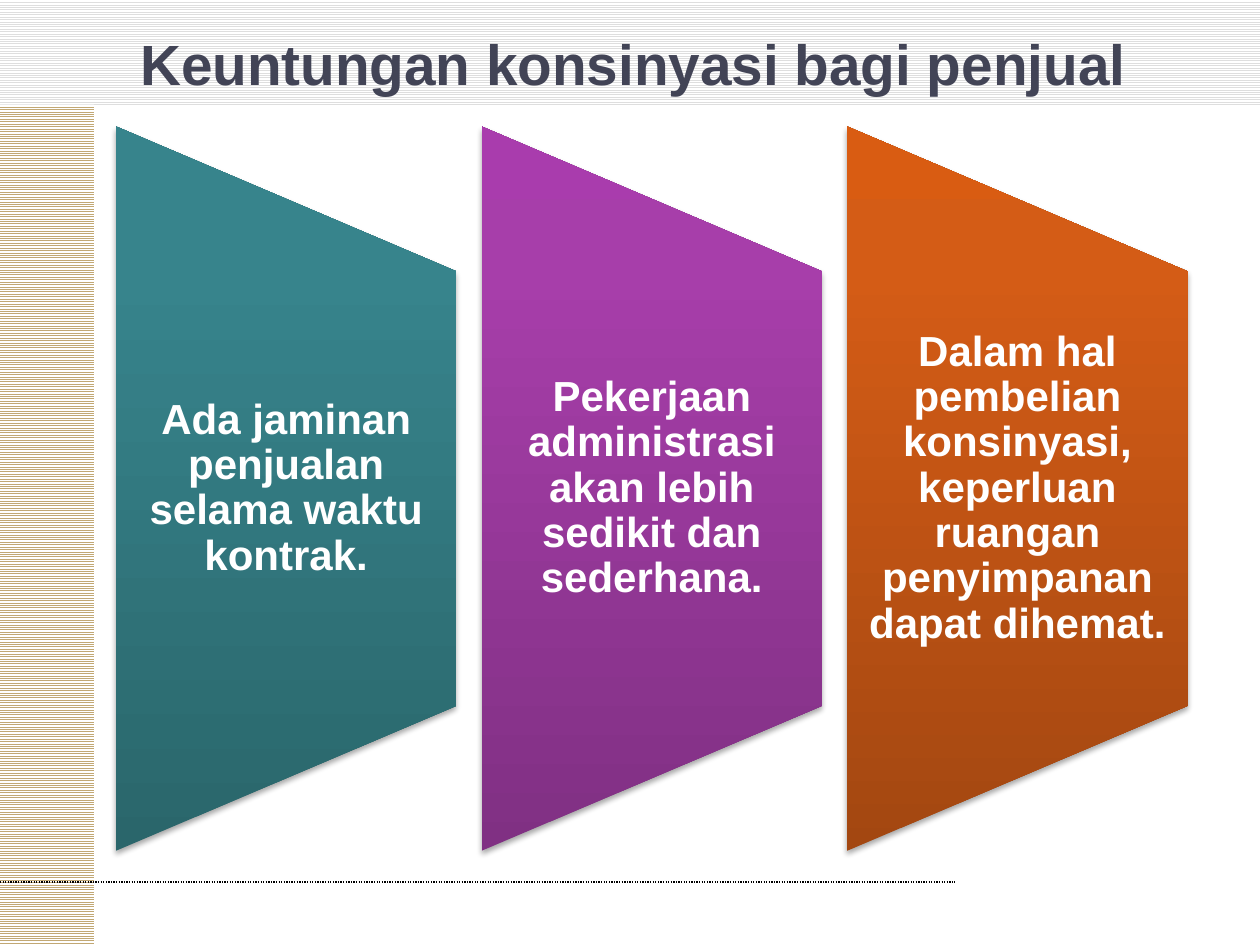
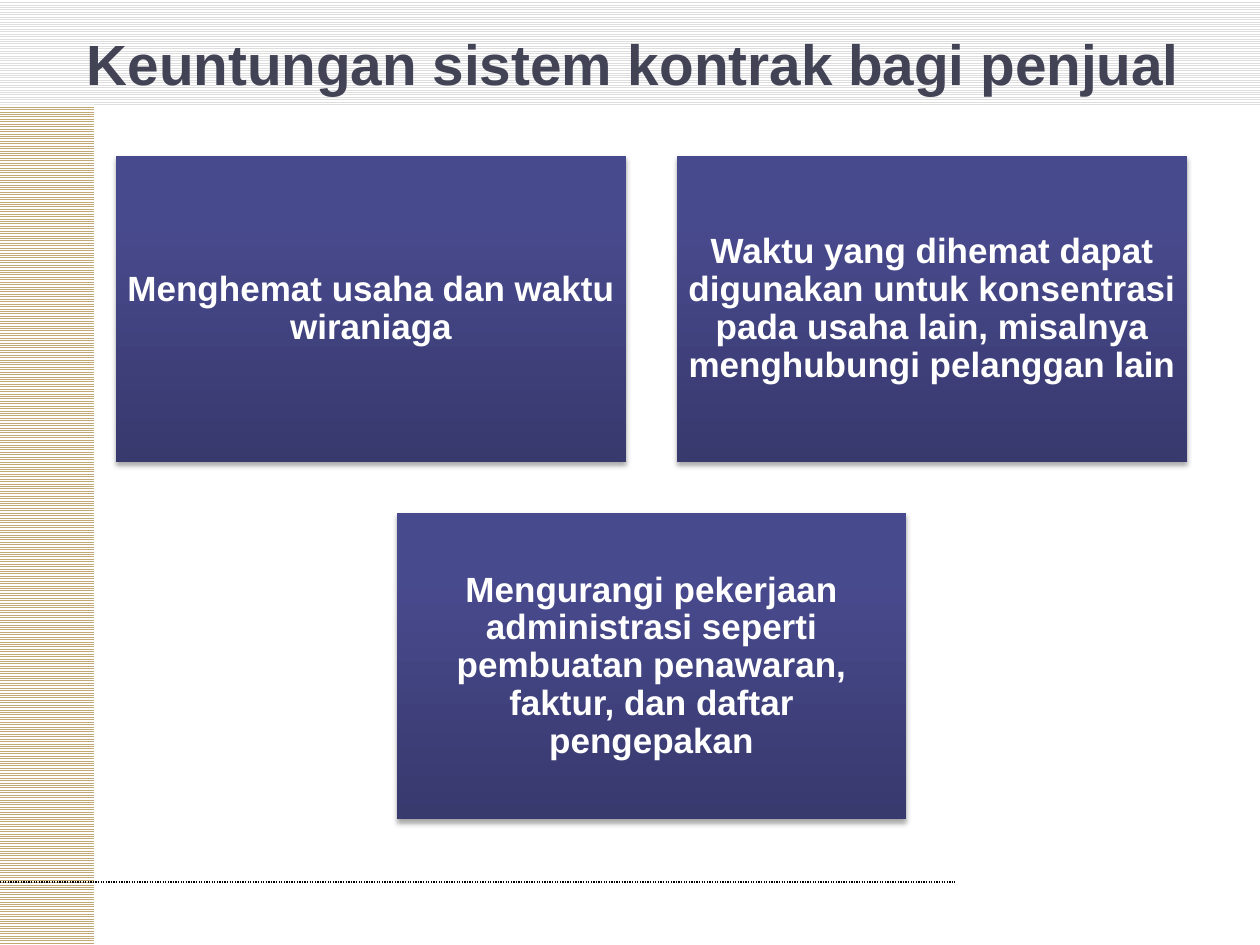
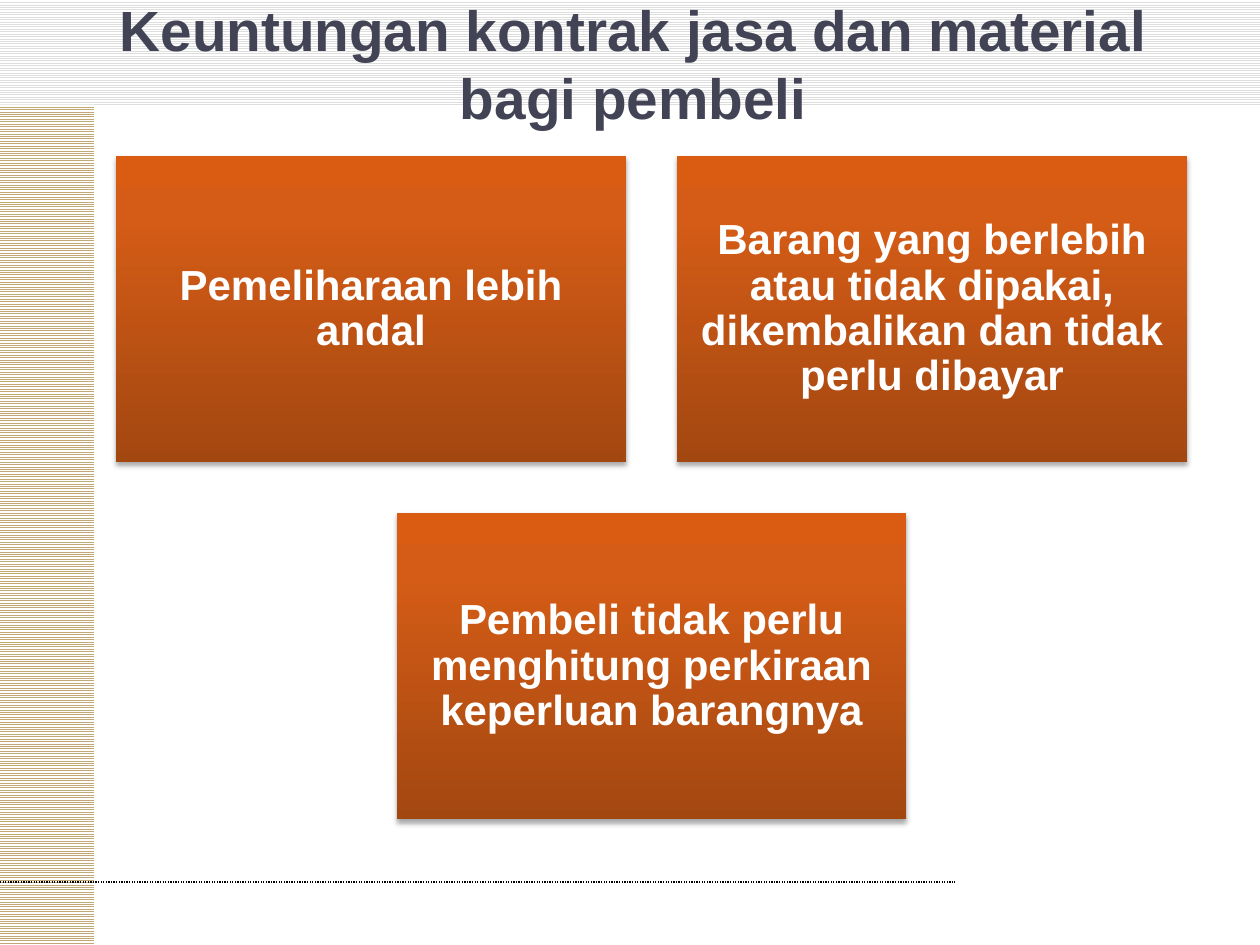
"""Build three slides on the advantages of consignment and contract selling."""
from copy import deepcopy
from dataclasses import dataclass

from lxml import etree
from pptx import Presentation
from pptx.dml.color import RGBColor
from pptx.enum.dml import MSO_LINE, MSO_PATTERN
from pptx.enum.shapes import MSO_CONNECTOR, MSO_SHAPE
from pptx.enum.text import MSO_ANCHOR, MSO_AUTO_SIZE, PP_ALIGN
from pptx.oxml import parse_xml
from pptx.oxml.ns import nsdecls, qn
from pptx.util import Cm, Pt

RECTANGLE = MSO_SHAPE.RECTANGLE
TRAPEZOID = MSO_SHAPE.FLOWCHART_MANUAL_OPERATION
STRAIGHT = MSO_CONNECTOR.STRAIGHT
DOTTED = MSO_LINE.ROUND_DOT
STRIPES = MSO_PATTERN.LIGHT_HORIZONTAL
MIDDLE = MSO_ANCHOR.MIDDLE
CENTER = PP_ALIGN.CENTER
NO_AUTOFIT = MSO_AUTO_SIZE.NONE
BLANK_LAYOUT = 6

SHADOW = (
    f'<a:outerShdw {nsdecls("a")} blurRad="40000" dist="23000" dir="5400000" rotWithShape="0">'
    '<a:srgbClr val="000000"><a:alpha val="35000"/></a:srgbClr></a:outerShdw>'
)


@dataclass(frozen=True)
class Theme:
    """Colours, font and type sizes of the deck."""

    font: str = "Arial"
    title: str = "424456"
    text: str = "FFFFFF"
    paper: str = "FFFFFF"
    rule: str = "000000"
    top_band: str = "DEDEDE"
    side_band: str = "C2A874"
    teal: tuple = ("2A666B", "37848C", "36868E")
    purple: tuple = ("803083", "A73EAA", "A93CAD")
    orange: tuple = ("A34711", "D45C16", "D95C12")
    indigo: tuple = ("38396D", "484A8E", "474990")
    stops: tuple = (0, 0.8, 1)
    title_size: float = 32.4
    large_size: float = 24
    small_size: float = 20


class SlideBuilder:
    """Holds the deck, its theme and the slide being filled."""

    def __init__(self, theme):
        """Start an empty deck of 10 by 7.5 inches."""
        self.theme = theme
        self.deck = Presentation()
        self.deck.slide_width, self.deck.slide_height = Cm(25.4), Cm(19.05)
        self.page = None

    def start_page(self, title):
        """Add a slide with its bands, dotted rule and title."""
        self.page = self.deck.slides.add_slide(self.deck.slide_layouts[BLANK_LAYOUT])
        self.band(0, 0, 25.4, 2.11, self.theme.top_band)
        self.band(0, 2.11, 1.9, 16.94, self.theme.side_band)
        self.rule(0, 19.25, 17.78)
        box = self.page.shapes.add_textbox(Cm(1.27), Cm(0.64), Cm(22.99), Cm(1.27))
        self.set_text(box, title, self.theme.title_size, self.theme.title)

    def band(self, left, top, width, height, color):
        """Draw a striped band."""
        shape = self.page.shapes.add_shape(RECTANGLE, Cm(left), Cm(top), Cm(width), Cm(height))
        shape.shadow.inherit = False
        shape.line.fill.background()
        shape.fill.patterned()
        shape.fill.pattern = STRIPES
        shape.fill.fore_color.rgb = RGBColor.from_string(color)
        shape.fill.back_color.rgb = RGBColor.from_string(self.theme.paper)

    def rule(self, start, end, top):
        """Draw a dotted horizontal line."""
        line = self.page.shapes.add_connector(STRAIGHT, Cm(start), Cm(top), Cm(end), Cm(top))
        line.line.color.rgb = RGBColor.from_string(self.theme.rule)
        line.line.width = Pt(0.75)
        line.line.dash_style = DOTTED
        etree.SubElement(line._element.spPr, qn("a:effectLst"))

    def panel(self, kind, left, top, width, height, colors):
        """Draw a shadowed shape shaded upwards through three colours."""
        shape = self.page.shapes.add_shape(kind, Cm(left), Cm(top), Cm(width), Cm(height))
        shape.line.fill.background()
        shape.fill.gradient()
        shape.fill.gradient_angle = 90
        properties = shape._element.spPr
        gradient = properties.find(qn("a:gradFill"))
        gradient.set("rotWithShape", "0")
        stop_list = gradient.find(qn("a:gsLst"))
        stop_list.append(deepcopy(stop_list[-1]))
        for stop, color, position in zip(shape.fill.gradient_stops, colors, self.theme.stops):
            stop.color.rgb = RGBColor.from_string(color)
            stop.position = position
        shape.shadow.inherit = False
        properties.find(qn("a:effectLst")).append(parse_xml(SHADOW))
        return shape

    def set_text(self, box, text, size, color, inset_x=0.25, inset_y=0.13, spacing=1.0):
        """Put bold centred text into a box."""
        frame = box.text_frame
        frame.word_wrap = True
        frame.auto_size = NO_AUTOFIT
        frame.vertical_anchor = MIDDLE
        frame.margin_left = frame.margin_right = Cm(inset_x)
        frame.margin_top = frame.margin_bottom = Cm(inset_y)
        frame.text = text
        para = frame.paragraphs[0]
        para.alignment = CENTER
        para.line_spacing = spacing
        font = para.runs[0].font
        font.name, font.size, font.bold = self.theme.font, Pt(size), True
        font.color.rgb = RGBColor.from_string(color)

    def trapezoid_row(self, items):
        """Set labelled upright trapezoids side by side."""
        width, height, pitch, middle, label_height = 6.86, 14.6, 7.37, 9.85, 8.76
        for column, (text, colors) in enumerate(items):
            left = 2.34 + column * pitch
            shape = self.panel(TRAPEZOID, left + (width - height) / 2, middle - width / 2,
                               height, width, colors)
            shape.rotation = 270
            label = self.page.shapes.add_textbox(
                Cm(left), Cm(middle - label_height / 2), Cm(width), Cm(label_height))
            self.set_text(label, text, self.theme.large_size, self.theme.text, 0.42, 0, 0.9)

    def card_pyramid(self, texts, colors, size, inset):
        """Set two cards in a row and the third centred below."""
        left, top, width, height, gap = 2.34, 3.15, 10.28, 6.17, 1.03
        pitch = width + gap
        for text, (column, row) in zip(texts, ((0, 0), (1, 0), (0.5, 1))):
            card = self.panel(RECTANGLE, left + column * pitch, top + row * (height + gap),
                              width, height, colors)
            self.set_text(card, text, size, self.theme.text, inset, inset, 0.9)


def main():
    """Build and save the deck."""
    theme = Theme()
    builder = SlideBuilder(theme)

    builder.start_page("Keuntungan konsinyasi bagi penjual")
    builder.trapezoid_row((
        ("Ada jaminan penjualan selama waktu kontrak.", theme.teal),
        ("Pekerjaan administrasi akan lebih sedikit dan sederhana.", theme.purple),
        ("Dalam hal pembelian konsinyasi, keperluan ruangan penyimpanan dapat dihemat.",
         theme.orange),
    ))

    builder.start_page("Keuntungan sistem kontrak bagi penjual")
    builder.card_pyramid((
        "Menghemat usaha dan waktu wiraniaga",
        "Waktu yang dihemat dapat digunakan untuk konsentrasi pada usaha lain, "
        "misalnya menghubungi pelanggan lain",
        "Mengurangi pekerjaan administrasi seperti pembuatan penawaran, faktur, "
        "dan daftar pengepakan",
    ), theme.indigo, theme.small_size, 0.2)

    builder.start_page("Keuntungan kontrak jasa dan material bagi pembeli")
    builder.card_pyramid((
        "Pemeliharaan lebih andal",
        "Barang yang berlebih atau tidak dipakai, dikembalikan dan tidak perlu dibayar",
        "Pembeli tidak perlu menghitung perkiraan keperluan barangnya",
    ), theme.orange, theme.large_size, 0.25)

    builder.deck.save("out.pptx")


if __name__ == "__main__":
    main()
